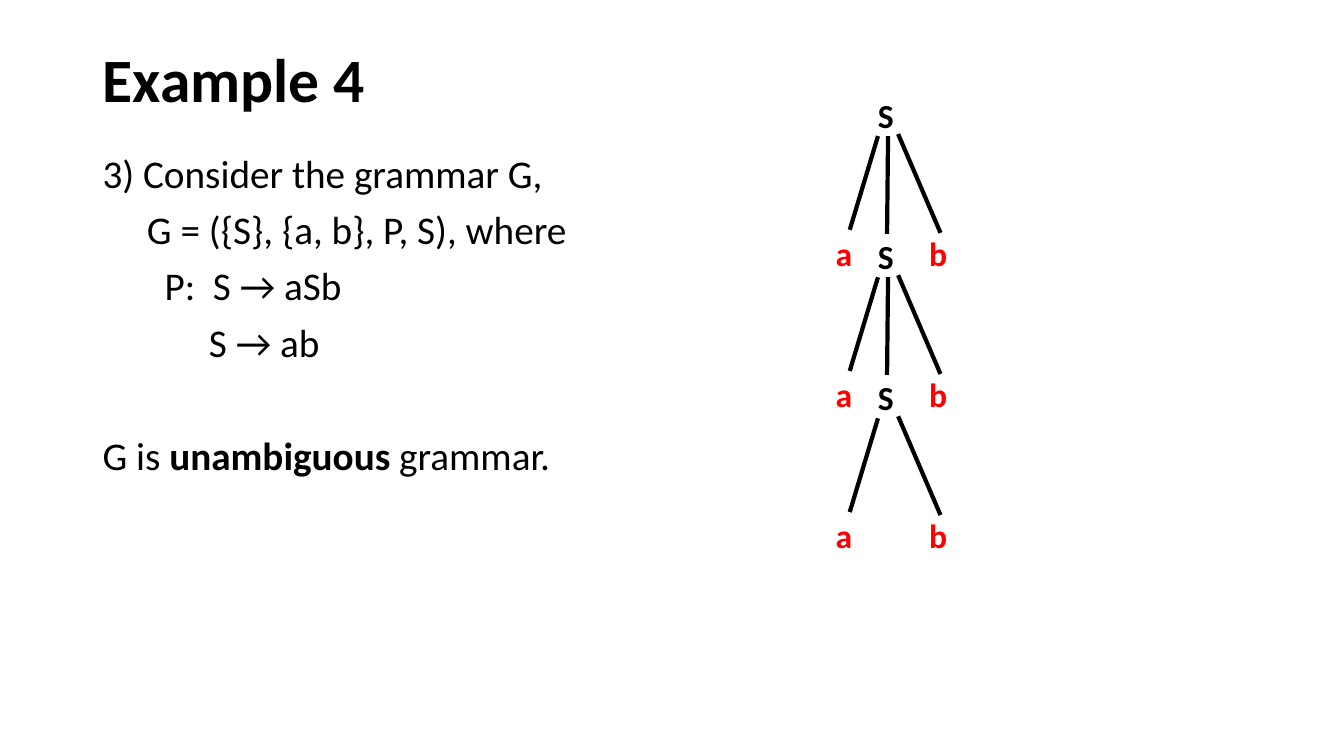
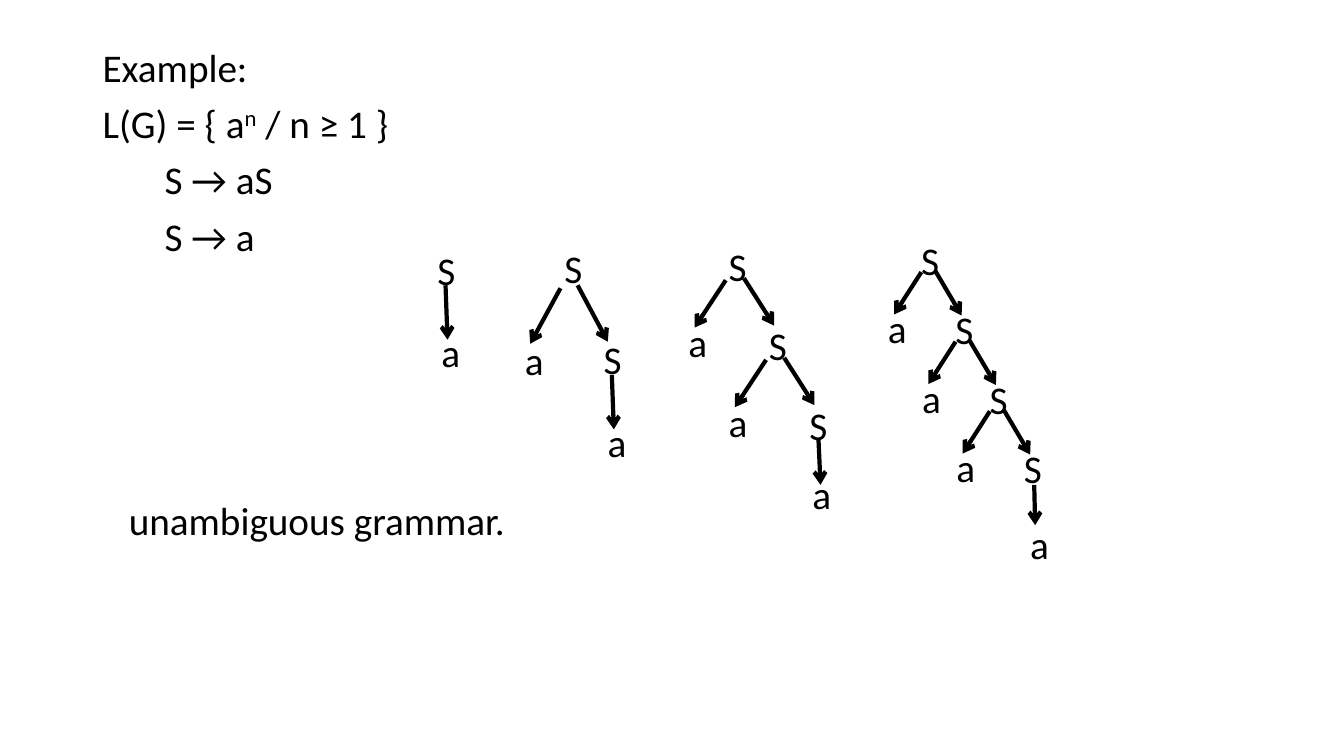
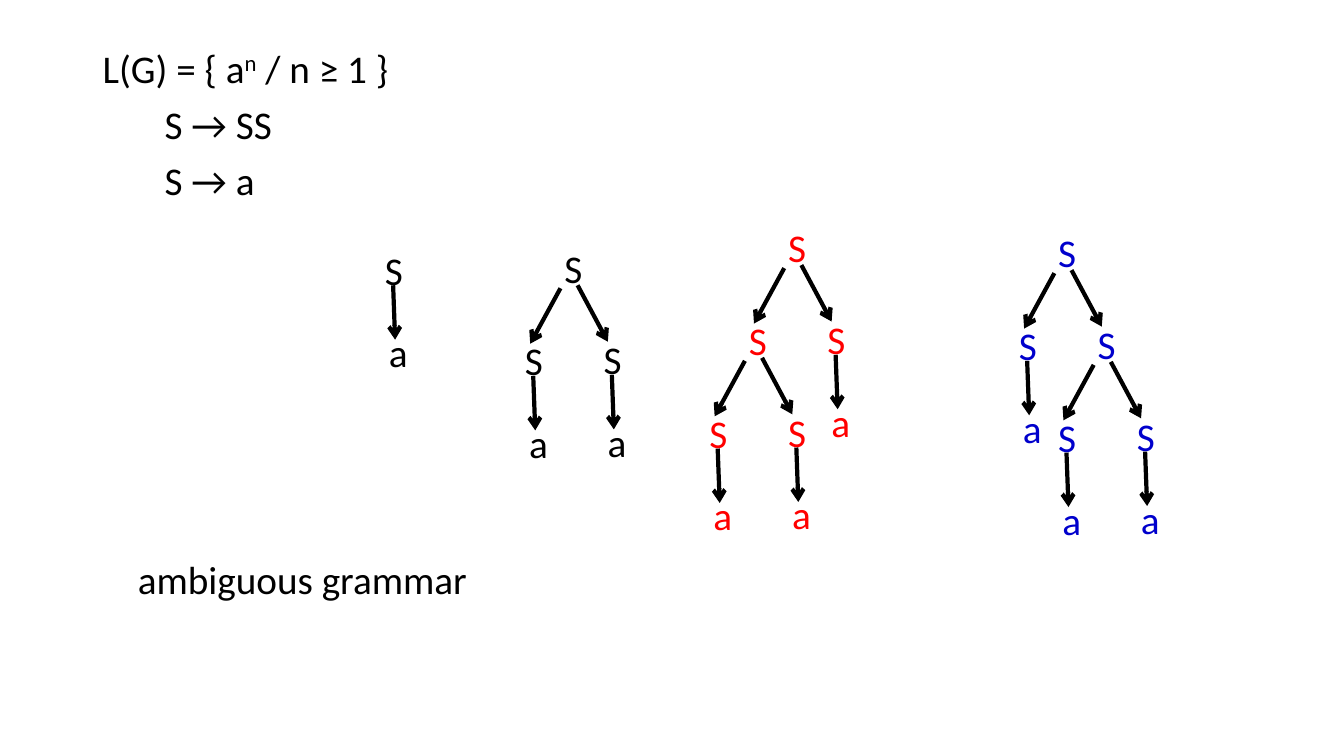
from dataclasses import dataclass

from lxml import etree
from pptx import Presentation
from pptx import util as u
from pptx.dml.color import RGBColor
from pptx.enum import shapes, text
from pptx.oxml import ns


@dataclass(frozen=True)
class Theme:
    font: str = "Calibri"
    ink: str = "000000"
    red: str = "FF0000"
    blue: str = "0000CC"
    title: int = 44
    body: int = 28
    label: int = 24
    stroke: int = 3
    leading: float = 0.9
    gap: float = 10
    line_pitch: float = 40.7


@dataclass(frozen=True)
class Branch:
    start: tuple
    end: tuple
    child: tuple


@dataclass(frozen=True)
class Spread:
    cell: tuple
    branches: dict

    def pick(self, count):
        names = {1: ["stem"], 2: ["left", "right"], 3: ["left", "middle", "right"]}
        return [self.branches[name] for name in names.get(count, [])]


TRIPLE = Spread((5.1, 5), {
    "left": Branch((1, 4.6), (-1.8, 13.9), (-4.2, 13.7)),
    "middle": Branch((2, 4.6), (1.9, 14.3), (0, 14)),
    "right": Branch((3, 4.4), (7.2, 14.2), (5.1, 13.7)),
})
WIDE = Spread((3.6, 5.7), {
    "left": Branch((0.6, 4.9), (-2.4, 10.4), (-3.9, 9.2)),
    "right": Branch((2.3, 4.6), (5.3, 10.2), (3.9, 9.1)),
    "stem": Branch((1.8, 4.4), (2, 9.8), (0.4, 8.2)),
})
MEDIUM = Spread((3.2, 4.7), {
    "left": Branch((0.7, 4.3), (-2.4, 9), (-4, 7.6)),
    "right": Branch((2.5, 4.1), (5.5, 8.8), (4, 7.9)),
    "stem": Branch((1.9, 4.3), (2.1, 8.8), (0.3, 6.9)),
})
TIGHT = Spread((2.8, 4.2), {
    "left": Branch((1, 4.1), (-1.7, 8.3), (-3.3, 6.8)),
    "right": Branch((2.4, 4), (5, 8.4), (3.4, 6.9)),
    "stem": Branch((2, 4.5), (2.1, 8.5), (0.6, 7.5)),
})


class Deck:
    cell = u.Inches(0.1)
    columns, rows = 133.33, 75

    def __init__(self, theme):
        self.theme = theme
        self.file = Presentation()
        self.file.slide_width = self.size(self.columns)
        self.file.slide_height = self.size(self.rows)
        self.slide = None

    def size(self, cells):
        return u.Emu(round(cells * self.cell))

    def new_slide(self):
        self.slide = self.file.slides.add_slide(self.file.slide_layouts[6])

    def frame(self, column, row, width, height, anchor=text.MSO_ANCHOR.TOP):
        box = self.slide.shapes.add_textbox(*map(self.size, (column, row, width, height)))
        box.text_frame.word_wrap = True
        box.text_frame.vertical_anchor = anchor
        return box.text_frame

    def add_words(self, paragraph, words, size=None, color=None, bold=False, raised=False):
        run = paragraph.add_run()
        run.text = words
        font = run.font
        font.name = self.theme.font
        font.size = u.Pt(size or self.theme.body)
        font.bold = bold
        font.color.rgb = RGBColor.from_string(color or self.theme.ink)
        if raised:
            run._r.get_or_add_rPr().set("baseline", "30000")

    def title(self, words):
        heading = self.frame(9.2, 4, 115, 8.4, text.MSO_ANCHOR.MIDDLE).paragraphs[0]
        heading.line_spacing = self.theme.leading
        self.add_words(heading, words, size=self.theme.title, bold=True)

    def body(self, row, lines):
        frame = self.frame(9.2, row, 115, self.rows - row - 7)
        for index, (margin, hanging, skipped, pieces) in enumerate(lines):
            paragraph = frame.add_paragraph() if index else frame.paragraphs[0]
            paragraph.line_spacing = self.theme.leading
            if index:
                paragraph.space_before = u.Pt(self.theme.gap + skipped * self.theme.line_pitch)
            layout = paragraph._p.get_or_add_pPr()
            layout.set("marL", str(self.size(margin)))
            layout.set("indent", str(self.size(-hanging)))
            for words, style in pieces:
                self.add_words(paragraph, words, **style)

    def edge(self, start, end, arrow):
        ends = [self.size(value) for value in (*start, *end)]
        edge = self.slide.shapes.add_connector(shapes.MSO_CONNECTOR.STRAIGHT, *ends)
        edge.line.width = u.Pt(self.theme.stroke)
        edge.line.color.rgb = RGBColor.from_string(self.theme.ink)
        if arrow:
            etree.SubElement(edge.get_or_add_ln(), ns.qn("a:tailEnd"), type="arrow")
        etree.SubElement(edge._element.spPr, ns.qn("a:effectLst"))

    def tree(self, column, row, node, spread, arrow=True, leaf_color=None, **style):
        symbol, *children = node
        own = style if children else {**style, "color": leaf_color or style.get("color")}
        self.add_words(self.frame(column, row, *spread.cell).paragraphs[0], symbol, **own)

        def place(offset):
            return column + offset[0], row + offset[1]

        for branch, child in zip(spread.pick(len(children)), children):
            self.edge(place(branch.start), place(branch.end), arrow)
            self.tree(*place(branch.child), child, spread, arrow, leaf_color, **style)


def line(*pieces, margin=0, hanging=0, skipped=0):
    return margin, hanging, skipped, [
        (piece, {}) if isinstance(piece, str) else piece for piece in pieces]


A, B = ("a",), ("b",)
STEM = ("S", A)
LANGUAGE = line("L(G) = { a", ("n", {"raised": True}), " / n ≥ 1 }")


def example_four(deck):
    deck.new_slide()
    deck.title("Example 4")
    deck.body(14.8, [
        line("3) Consider the grammar G,"),
        line("G = ({S}, {a, b}, P, S), where", margin=4.4),
        line("P:\tS → aSb", margin=10.95, hanging=4.8),
        line("S → ab", margin=10.55),
        line("G is ", ("unambiguous", {"bold": True}), " grammar.", skipped=1),
    ])
    nested = ("S", A, ("S", A, ("S", A, B), B), B)
    deck.tree(86.1, 8.9, nested, TRIPLE, arrow=False, leaf_color=deck.theme.red,
              size=deck.theme.label, bold=True)


def right_recursive(deck):
    deck.new_slide()
    deck.body(4.3, [
        line("Example:"),
        LANGUAGE,
        line("S → aS", margin=6.15),
        line("S → a", margin=6.15),
        line("unambiguous grammar.", margin=2.6, skipped=4),
    ])
    two = ("S", A, STEM)
    three = ("S", A, two)
    four = ("S", A, three)
    deck.tree(42.4, 23.9, STEM, WIDE)
    deck.tree(55, 23.7, two, WIDE)
    deck.tree(71.3, 23.5, three, MEDIUM)
    deck.tree(90.4, 22.9, four, TIGHT)


def doubly_recursive(deck):
    deck.new_slide()
    deck.body(4.4, [
        LANGUAGE,
        line("S → SS", margin=6.15),
        line("S → a", margin=6.15),
        line("ambiguous grammar", margin=3.5, skipped=6),
    ])
    pair = ("S", STEM, STEM)
    deck.tree(37.2, 23.9, STEM, WIDE)
    deck.tree(55, 23.7, pair, WIDE)
    deck.tree(77.2, 21.7, ("S", pair, STEM), WIDE, color=deck.theme.red)
    deck.tree(104, 22.2, ("S", STEM, pair), WIDE, color=deck.theme.blue)


def main():
    deck = Deck(Theme())
    for build in (example_four, right_recursive, doubly_recursive):
        build(deck)
    deck.file.save("out.pptx")


if __name__ == "__main__":
    main()
